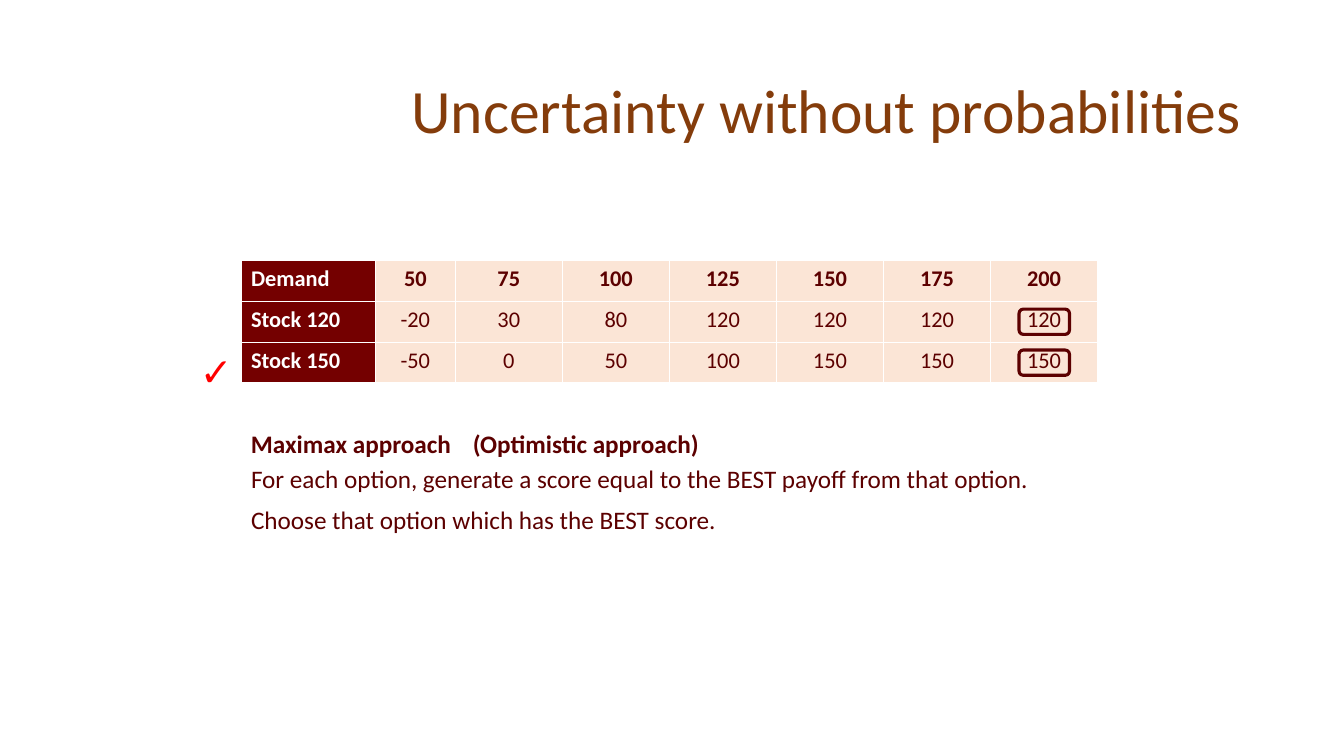
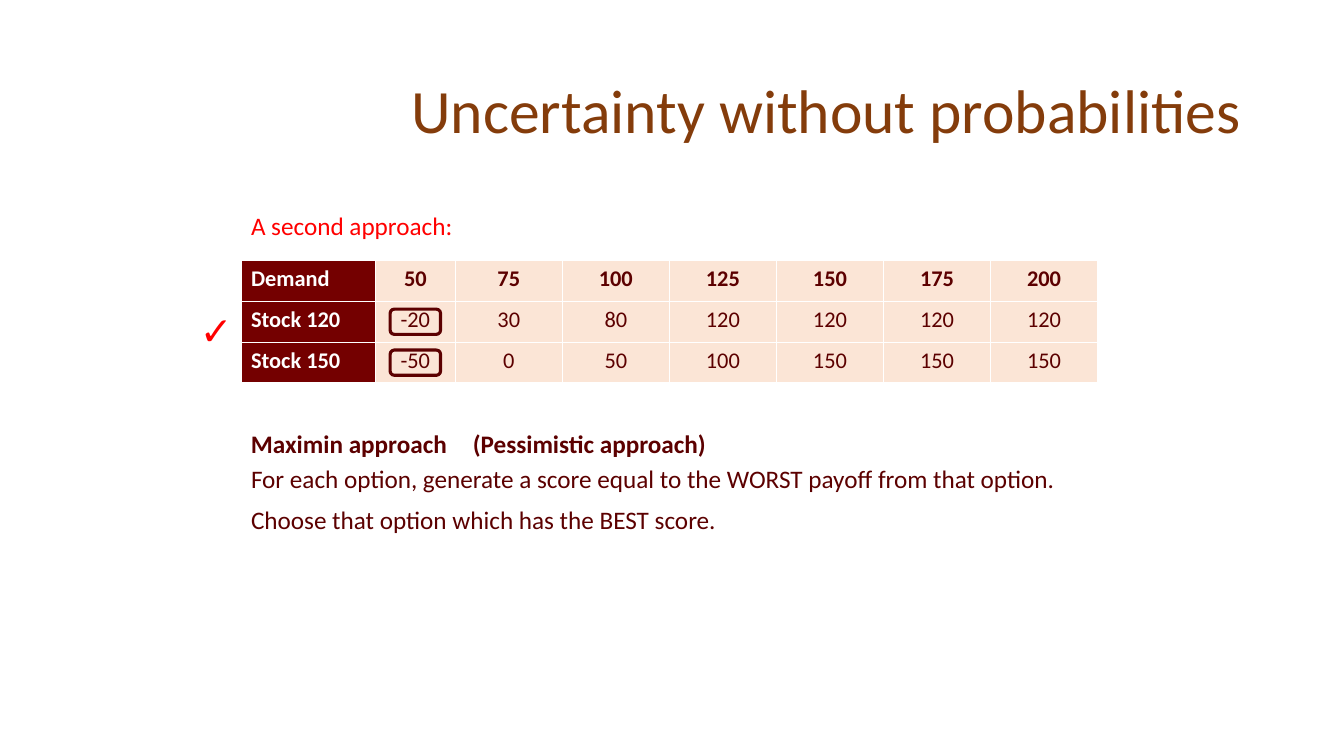
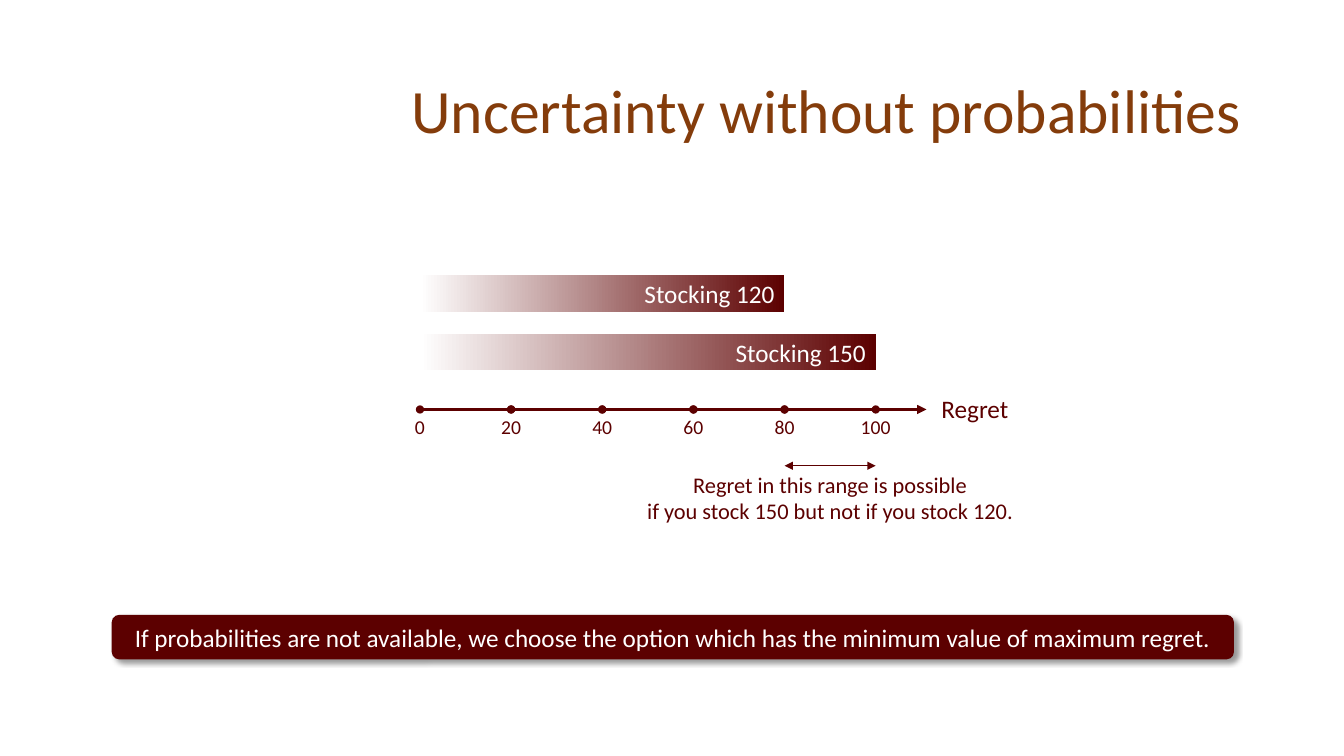
import lxml.etree
import pptx
import pptx.dml.color
import pptx.enum.shapes
import pptx.enum.text
import pptx.oxml.ns
import pptx.util

ALIGN = pptx.enum.text.PP_ALIGN
ANCHOR = pptx.enum.text.MSO_ANCHOR
SHAPE = pptx.enum.shapes.MSO_SHAPE

COLUMNS, ROWS = 160, 90
CELL = pptx.util.Pt(6)

FONT = "Calibri"
WHITE, BROWN, RED = "FFFFFF", "843C0B", "FF0000"
MAROON, HEADER, PEACH = "5C0000", "740000", "FBE5D6"

TITLE = "Uncertainty without probabilities"
TITLE_BOX = (11, 4.8, 138, 17.4)
TABLE_BOX = (28.7, 31, 102, 14.61)
RULE_BOX = (28.7, 50.4, 110, 14)
REGRET_BOX = (50, 32.75, 54.25, 16)
BANNER_BOX = (13.3, 73.2, 133.6, 5.3)
LINE_HEIGHT = 4.85

PAYOFFS = [
    ["Demand", "50", "75", "100", "125", "150", "175", "200"],
    ["Stock 120", "-20", "30", "80", "120", "120", "120", "120"],
    ["Stock 150", "-50", "0", "50", "100", "150", "150", "150"],
]
COLUMN_WIDTHS = [16, 9.5] + [12.75] * 6


def grid(*lengths):
    """Turn grid lengths into slide lengths."""
    return [pptx.util.Emu(round(length * CELL)) for length in lengths]


def color(value):
    """Turn a hex string into a colour."""
    return pptx.dml.color.RGBColor.from_string(value)


def add_xml(parent, tag, **attributes):
    """Append a DrawingML element and return it."""
    return lxml.etree.SubElement(parent, pptx.oxml.ns.qn(tag), attributes)


def write(frame, text, size, ink, align=ALIGN.LEFT, bold=False):
    """Fill a text frame with one styled paragraph and return it."""
    frame.text = text
    para = frame.paragraphs[0]
    para.alignment = align
    para.font.name = FONT
    para.font.size = pptx.util.Pt(size)
    para.font.bold = bold
    para.font.color.rgb = color(ink)
    return para


def add_text(page, box, text, size=18, ink=MAROON, align=ALIGN.LEFT, bold=False,
             anchor=ANCHOR.TOP):
    """Place a text box and return its paragraph."""
    frame = page.shapes.add_textbox(*grid(*box)).text_frame
    frame.word_wrap = True
    frame.vertical_anchor = anchor
    return write(frame, text, size, ink, align, bold)


def add_block(page, kind, box):
    """Place a preset shape without line or shadow."""
    block = page.shapes.add_shape(kind, *grid(*box))
    block.shadow.inherit = False
    block.line.fill.background()
    block.text_frame.vertical_anchor = ANCHOR.MIDDLE
    return block


def add_line(page, start, end, y, width=0.5, head=None, tail=None):
    """Draw a level line with optional ends."""
    line = page.shapes.add_connector(
        pptx.enum.shapes.MSO_CONNECTOR.STRAIGHT, *grid(start, y, end, y))
    line.line.color.rgb = color(MAROON)
    line.line.width = pptx.util.Pt(width)
    properties = line._element.spPr
    stroke = properties.find(pptx.oxml.ns.qn("a:ln"))
    for tag, kind in (("a:headEnd", head), ("a:tailEnd", tail)):
        if kind:
            add_xml(stroke, tag, type=kind)
    add_xml(properties, "a:effectLst")


def add_page(deck):
    """Add a blank slide with the shared title."""
    page = deck.slides.add_slide(deck.slide_layouts[6])
    para = add_text(page, TITLE_BOX, TITLE, 44, BROWN, ALIGN.RIGHT, anchor=ANCHOR.MIDDLE)
    para.line_spacing = 0.9
    return page


def style_cell(cell, text, row, column):
    """Style one payoff cell by its row and column."""
    label = column == 0
    write(cell.text_frame, text, 16, WHITE if label else MAROON,
          ALIGN.LEFT if label else ALIGN.CENTER, label or row == 0)
    properties = cell._tc.get_or_add_tcPr()
    for side in ("a:lnL", "a:lnR", "a:lnT", "a:lnB"):
        border = add_xml(properties, side, w="12700")
        add_xml(add_xml(border, "a:solidFill"), "a:srgbClr", val=WHITE)
    cell.fill.solid()
    cell.fill.fore_color.rgb = color(HEADER if label else PEACH)


def add_payoffs(page, box, marked_column, chosen_row):
    """Draw the payoff table, ring one column and tick one row."""
    left, top, _, height = box
    row_height = height / len(PAYOFFS)
    table = page.shapes.add_table(len(PAYOFFS), len(COLUMN_WIDTHS), *grid(*box)).table
    table.first_row = table.horz_banding = False
    for column, width in zip(table.columns, COLUMN_WIDTHS):
        column.width = grid(width)[0]
    for row, texts in enumerate(PAYOFFS):
        table.rows[row].height = grid(row_height)[0]
        for column, text in enumerate(texts):
            style_cell(table.cell(row, column), text, row, column)

    ring_width, ring_height = 6, 3
    center = left + sum(COLUMN_WIDTHS[:marked_column]) + COLUMN_WIDTHS[marked_column] / 2
    for row in range(1, len(PAYOFFS)):
        middle = top + (row + 0.5) * row_height
        ring = add_block(page, SHAPE.ROUNDED_RECTANGLE,
                         (center - ring_width / 2, middle - ring_height / 2,
                          ring_width, ring_height))
        ring.fill.background()
        ring.line.color.rgb = color(MAROON)
        ring.line.width = pptx.util.Pt(2.25)

    tick_size = 6.1
    add_text(page, (left - tick_size, top + chosen_row * row_height, tick_size, 6.8),
             "✓", 28, RED)


def add_rule(page, box, name, attitude, payoff):
    """Explain a decision rule under the table."""
    left, top, width, _ = box
    indent = 26.4
    add_text(page, (left, top, indent, LINE_HEIGHT), name, bold=True)
    add_text(page, (left + indent, top, width - indent, LINE_HEIGHT), attitude, bold=True)
    steps = [
        (4.2, f"For each option, generate a score equal to the {payoff} payoff from that option."),
        (9, "Choose that option which has the BEST score."),
    ]
    for drop, text in steps:
        add_text(page, (left, top + drop, width, LINE_HEIGHT), text)


def add_bar(page, box, text):
    """Draw a bar that fades in from the left."""
    bar = add_block(page, SHAPE.RECTANGLE, box)
    bar.fill.gradient()
    bar.fill.gradient_angle = 0
    for stop, position, ink in zip(bar.fill.gradient_stops, (0, 1), (WHITE, MAROON)):
        stop.position = position
        stop.color.rgb = color(ink)
    write(bar.text_frame, text, 18, WHITE, ALIGN.RIGHT)


def add_regret(page, box):
    """Draw the regret bars, their axis and the range note."""
    left, top, width, height = box
    axis = top + height
    ticks = range(0, 101, 20)
    places = [left + width * tick / 100 for tick in ticks]

    add_line(page, left, left + 60.3, axis, 2.25, tail="triangle")
    for start, end in zip(places, places[1:]):
        add_line(page, start, end, axis, head="oval", tail="oval")
    for tick, place in zip(ticks, places):
        add_text(page, (place - 3, axis, 6, 4.1), str(tick), 14, align=ALIGN.CENTER)
    add_text(page, (left + 60.9, axis - 2.5, 12, LINE_HEIGHT), "Regret")

    for index, (stock, regret) in enumerate(((120, 80), (150, 100))):
        add_bar(page, (left, top + 7 * index, width * regret / 100, 4.35),
                f"Stocking {stock}")

    low, high = places[-2:]
    note_top, note_width = axis + 6.7, 48
    add_line(page, low, high, note_top, head="triangle", tail="triangle")
    add_text(page, ((low + high - note_width) / 2, note_top, note_width, 7.7),
             "Regret in this range is possible\vif you stock 150 but not if you stock 120.",
             16, align=ALIGN.CENTER)


def add_banner(page, box, text):
    """Place the closing statement on a shadowed band."""
    banner = add_block(page, SHAPE.ROUNDED_RECTANGLE, box)
    banner.fill.solid()
    banner.fill.fore_color.rgb = color(MAROON)
    write(banner.text_frame, text, 18, WHITE, ALIGN.CENTER)
    effects = banner._element.spPr.find(pptx.oxml.ns.qn("a:effectLst"))
    shadow = add_xml(effects, "a:outerShdw", blurRad="50800", dist="38100",
                     dir="2700000", algn="tl", rotWithShape="0")
    add_xml(add_xml(shadow, "a:srgbClr", val="000000"), "a:alpha", val="40000")


def main():
    """Build and save the deck."""
    deck = pptx.Presentation()
    deck.slide_width, deck.slide_height = grid(COLUMNS, ROWS)

    page = add_page(deck)
    add_payoffs(page, TABLE_BOX, marked_column=7, chosen_row=2)
    add_rule(page, RULE_BOX, "Maximax approach", "(Optimistic approach)", "BEST")

    page = add_page(deck)
    add_payoffs(page, TABLE_BOX, marked_column=1, chosen_row=1)
    add_rule(page, RULE_BOX, "Maximin approach", "(Pessimistic approach)", "WORST")
    add_text(page, (TABLE_BOX[0], 24.5, 40, LINE_HEIGHT), "A second approach:", ink=RED)

    page = add_page(deck)
    add_regret(page, REGRET_BOX)
    add_banner(page, BANNER_BOX,
               "If probabilities are not available, we choose the option which has "
               "the minimum value of maximum regret.")

    deck.save("out.pptx")


if __name__ == "__main__":
    main()
